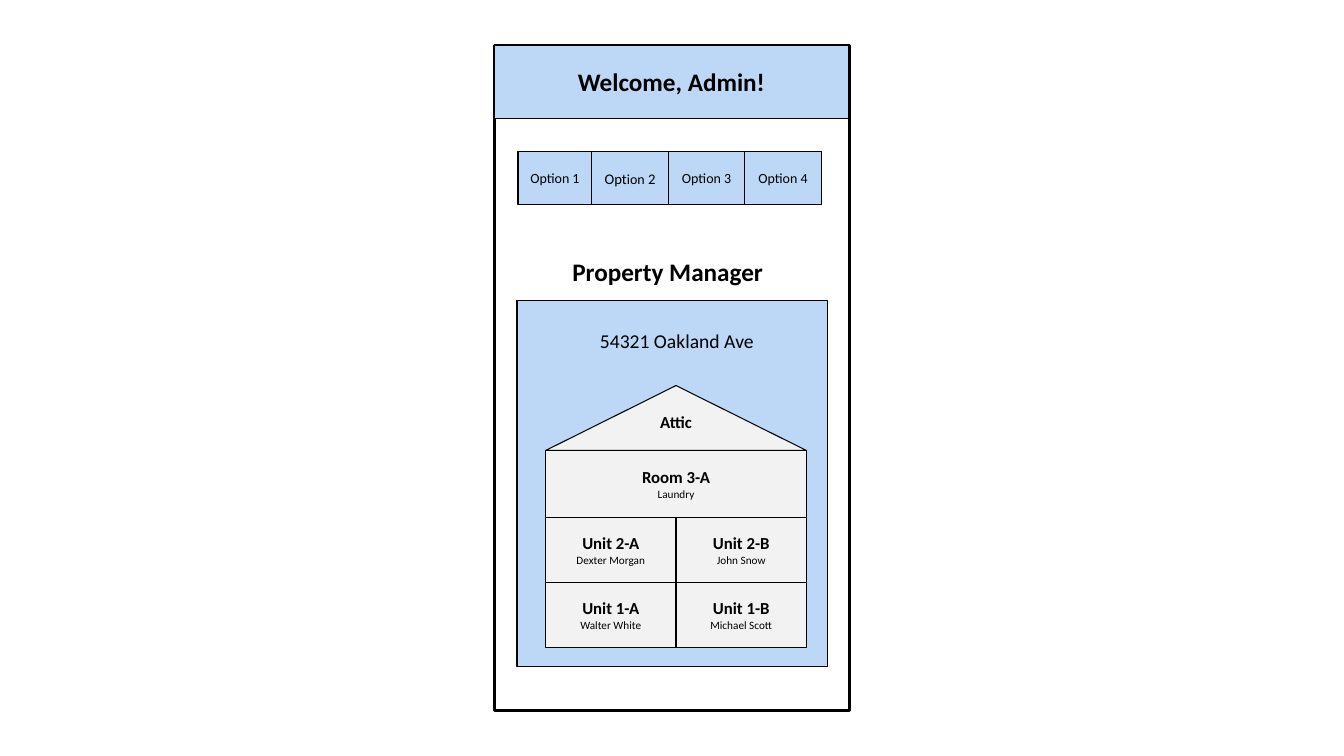
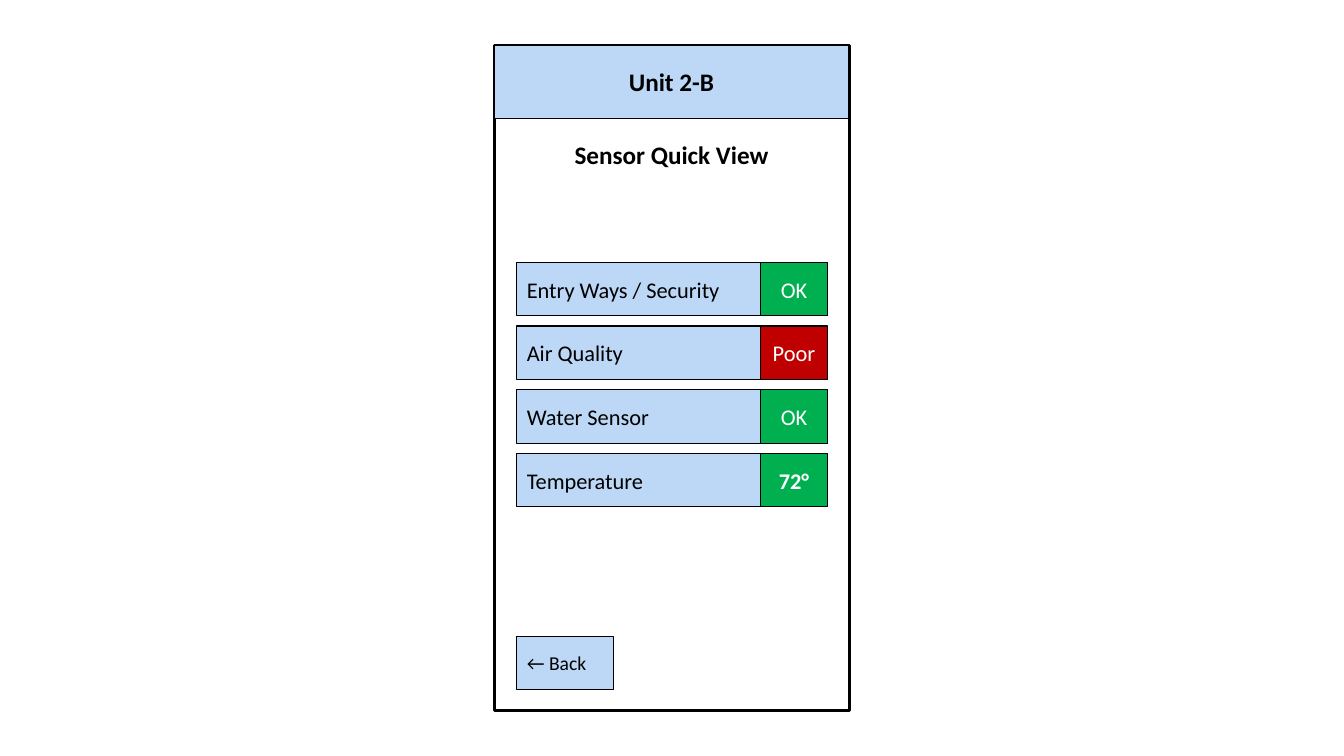
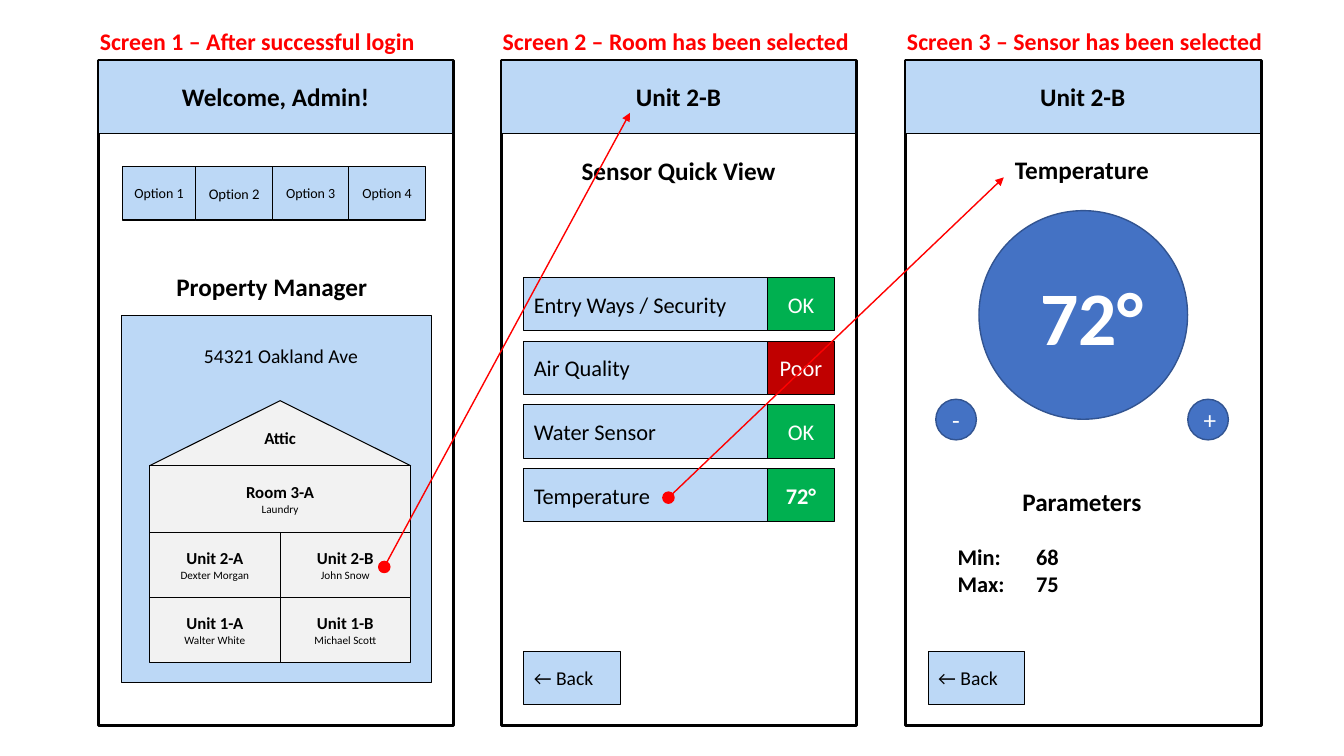
from lxml import etree
from pptx import Presentation
from pptx import util as u
from pptx.dml.color import RGBColor
from pptx.enum import shapes, text
from pptx.oxml import ns

BLACK = RGBColor(0x00, 0x00, 0x00)
WHITE = RGBColor(0xFF, 0xFF, 0xFF)
SKY = RGBColor(0xBC, 0xD8, 0xF6)
WALL = RGBColor(0xF2, 0xF2, 0xF2)
GREEN = RGBColor(0x00, 0xB0, 0x50)
CRIMSON = RGBColor(0xC0, 0x00, 0x00)
BLUE = RGBColor(0x44, 0x72, 0xC4)
NAVY = RGBColor(0x32, 0x54, 0x91)
RED = RGBColor(0xFF, 0x00, 0x00)

LEFT = text.PP_ALIGN.LEFT
CENTER = text.PP_ALIGN.CENTER
RECT = shapes.MSO_SHAPE.RECTANGLE
OVAL = shapes.MSO_SHAPE.OVAL
ROOF = shapes.MSO_SHAPE.ISOSCELES_TRIANGLE

PHONE_W, PHONE_H, HEADER_H = 254, 475, 52
BUTTON_H = 38.2
TITLE_W, TITLE_H = 193, 24.5
FLOOR_H, WING_W = 46.4, 93.2
LABEL_W, LABEL_H = 80.6, 26.6


def line(words, size, bold=False):
    return [(words, size, bold)]


class Mockup:
    font = "Calibri"

    def __init__(self, deck):
        self.deck = deck
        self.slide = None
        self.left = self.top = 0

    def new_slide(self):
        self.slide = self.deck.slides.add_slide(self.deck.slide_layouts[6])
        self.left = self.top = 0

    def place(self, x, y, w, h):
        return u.Pt(self.left + x), u.Pt(self.top + y), u.Pt(w), u.Pt(h)

    def set_lines(self, frame, lines, color, align, tab=None):
        frame.word_wrap = True
        frame.vertical_anchor = text.MSO_ANCHOR.MIDDLE
        for index, runs in enumerate(lines):
            paragraph = frame.add_paragraph() if index else frame.paragraphs[0]
            paragraph.alignment = align
            if tab:
                stops = etree.SubElement(paragraph._p.get_or_add_pPr(), ns.qn("a:tabLst"))
                etree.SubElement(stops, ns.qn("a:tab"), pos=str(u.Pt(tab)), algn="l")
            for words, size, bold in runs:
                run = paragraph.add_run()
                run.text = words
                run.font.name = self.font
                run.font.size = u.Pt(size)
                run.font.bold = bold
                run.font.color.rgb = color

    def block(self, x, y, w, h, fill=None, lines=(), kind=RECT, color=BLACK,
              align=CENTER, border=BLACK, weight=0.75):
        shape = self.slide.shapes.add_shape(kind, *self.place(x, y, w, h))
        shape.shadow.inherit = False
        if fill is None:
            shape.fill.background()
        else:
            shape.fill.solid()
            shape.fill.fore_color.rgb = fill
        shape.line.color.rgb = border
        shape.line.width = u.Pt(weight)
        self.set_lines(shape.text_frame, lines, color, align)

    def label(self, x, y, w, h, lines, color=BLACK, align=CENTER, tab=None):
        box = self.slide.shapes.add_textbox(*self.place(x, y, w, h))
        self.set_lines(box.text_frame, lines, color, align, tab)

    def title(self, x, y, words):
        self.label(x, y, TITLE_W, TITLE_H, [line(words, 18, True)])

    def disc(self, x, y, size, fill=BLUE, border=NAVY, lines=()):
        self.block(x, y, size, size, fill, lines, OVAL, WHITE, border=border, weight=1)

    def arrow(self, x1, y1, x2, y2):
        link = self.slide.shapes.add_connector(
            shapes.MSO_CONNECTOR.STRAIGHT, u.Pt(x1), u.Pt(y1), u.Pt(x2), u.Pt(y2))
        link.line.color.rgb = RED
        link.line.width = u.Pt(1)
        properties = link._element.spPr
        etree.SubElement(properties.find(ns.qn("a:ln")), ns.qn("a:tailEnd"), type="triangle")
        etree.SubElement(properties, ns.qn("a:effectLst"))

    def phone(self, left, top, heading):
        self.left, self.top = left, top
        self.block(0, 0, PHONE_W, PHONE_H, weight=2.25)
        self.block(0, 0, PHONE_W - 0.7, HEADER_H, SKY, [line(heading, 18, True)])

    def back_button(self):
        self.block(16.3, 422, 69, BUTTON_H, SKY, [line("← Back", 14)], align=LEFT)

    def room(self, x, y, w, h, name, use=None, kind=RECT, drop=0):
        self.block(x, y, w, h, WALL, kind=kind)
        lines = [line(name, 12, True)] + ([line(use, 8)] if use else [])
        self.label(x + (w - LABEL_W) / 2, y + (h - LABEL_H) / 2 + drop,
                   LABEL_W, LABEL_H, lines)

    def home_screen(self, left, top):
        self.phone(left, top, "Welcome, Admin!")
        options = [line("Option 1", 10),
                   [("Opt", 10.5, False), ("ion", 10, False), (" 2", 10.5, False)],
                   line("Option 3", 10),
                   line("Option 4", 10)]
        x = 17
        for index, option in enumerate(options):
            width = 54.6 if index else 52.8
            self.block(x, 75.8, width, BUTTON_H, SKY, [option])
            x += width
        self.title(27.4, 149, "Property Manager")
        self.block(16.3, 182, 221.8, 262, SKY)
        self.label(34, 193.7, TITLE_W, 34.6, [line("54321 Oakland Ave", 14)])

        house, eaves, upper = 36.7, 289.4, 337
        self.room(house, eaves - FLOOR_H, 2 * WING_W, FLOOR_H, "Attic", kind=ROOF, drop=3)
        self.room(house, eaves, 2 * WING_W, upper - eaves, "Room 3-A", "Laundry")
        floors = [[("Unit 2-A", "Dexter Morgan"), ("Unit 2-B", "John Snow")],
                  [("Unit 1-A", "Walter White"), ("Unit 1-B", "Michael Scott")]]
        for level, units in enumerate(floors):
            for wing, (name, tenant) in enumerate(units):
                self.room(house + wing * WING_W, upper + level * FLOOR_H,
                          WING_W, FLOOR_H, name, tenant)

    def sensor_screen(self, left, top):
        self.phone(left, top, "Unit 2-B")
        self.title(30.2, 66, "Sensor Quick View")
        sensors = [("Entry Ways / Security", "OK", GREEN, False),
                   ("Air Quality", "Poor", CRIMSON, False),
                   ("Water Sensor", "OK", GREEN, False),
                   ("Temperature", "72°", GREEN, True)]
        for index, (sensor, status, signal, bold) in enumerate(sensors):
            y = 155 + index * 45.5
            self.block(16.2, y, 221, BUTTON_H, SKY, [line(sensor, 16)], align=LEFT)
            self.block(190.4, y, 47.5, BUTTON_H, signal, [line(status, 16, bold)], color=WHITE)
        self.back_button()

    def temperature_screen(self, left, top):
        self.phone(left, top, "Unit 2-B")
        self.title(29.5, 65.5, "Temperature")
        self.disc(52.5, 107.3, 149, lines=[line(" 72°", 54, True)])
        for x, sign in ((201.6, "+"), (21.6, "-")):
            self.disc(x, 242, 29, lines=[line(sign, 18)])
        self.title(29.5, 302.4, "Parameters")
        self.label(30.2, 340.6, TITLE_W, 46.8,
                   [line("Min:\t68", 16, True), line("Max:\t75", 16, True)],
                   align=LEFT, tab=56)
        self.back_button()

    def caption(self, words):
        self.label(-6, -28.8, 280, 29.5, [line(words, 17, True)], RED, LEFT)


deck = Presentation()
deck.slide_width, deck.slide_height = u.Pt(960), u.Pt(540)
mockup = Mockup(deck)

mockup.new_slide()
mockup.home_screen(353, 32.4)

mockup.new_slide()
mockup.sensor_screen(353, 32.4)

mockup.new_slide()
flow = [(mockup.home_screen, 70.2, "Screen 1 – After successful login"),
        (mockup.sensor_screen, 358, "Screen 2 – Room has been selected"),
        (mockup.temperature_screen, 646.8, "Screen 3 – Sensor has been selected")]
for screen, left, stage in flow:
    screen(left, 43.2)
    mockup.caption(stage)

mockup.left = mockup.top = 0
taps = [(274.5, 405, 450, 80.6), (477.5, 355.5, 717, 126.7)]
for tap in taps:
    mockup.arrow(*tap)
    mockup.disc(tap[0] - 4, tap[1] - 4, 8, RED, RED)

deck.save("out.pptx")
